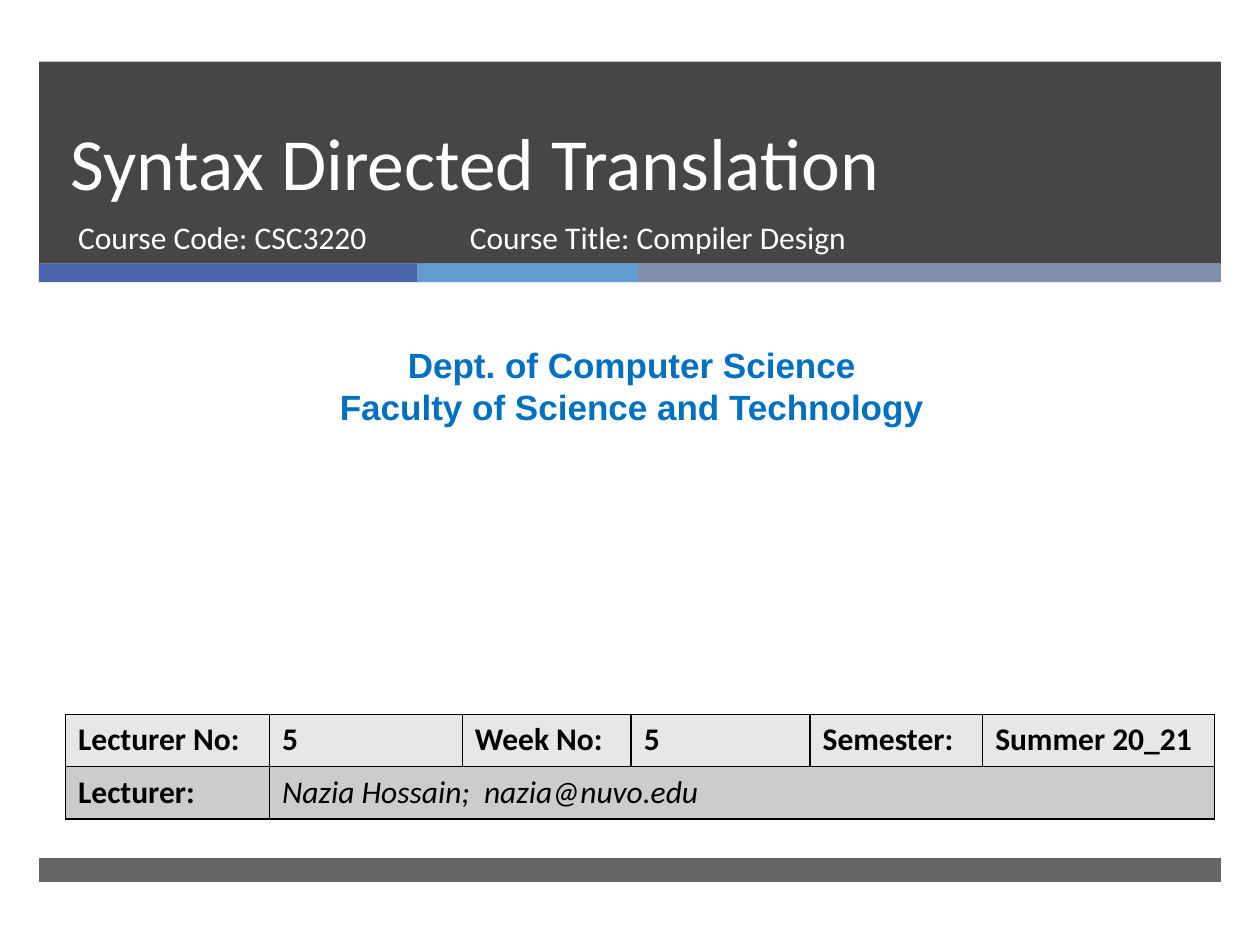
from lxml import etree
from pptx import Presentation
from pptx.dml.color import RGBColor
from pptx.enum.shapes import MSO_SHAPE
from pptx.enum.text import MSO_ANCHOR, PP_ALIGN
from pptx.oxml.ns import qn
from pptx.util import Inches, Pt

RECTANGLE = MSO_SHAPE.RECTANGLE
TOP, BOTTOM = MSO_ANCHOR.TOP, MSO_ANCHOR.BOTTOM
LEFT, CENTER = PP_ALIGN.LEFT, PP_ALIGN.CENTER

WIDTH, HEIGHT = 10, 7.5
MARGIN = 0.31
BAND_WIDTH = WIDTH - 2 * MARGIN
CHARCOAL, WHITE, BLACK, BLUE = "262626", "FFFFFF", "000000", "0070C0"
STRIPES = [("4A66AC", 0.32), ("629DD1", 0.187), ("7F8FA9", 0.493)]
COLUMNS = [1.62, 1.53, 1.34, 1.42, 1.37, 1.84]
LECTURE = ["Lecturer No:", "5", "Week No:", "5", "Semester:", "Summer 20_21"]
LECTURER = ["Lecturer:", "Nazia Hossain;  nazia@nuvo.edu"]


def color(value):
    return RGBColor.from_string(value)


def place(shape, box):
    shape.left, shape.top, shape.width, shape.height = map(Inches, box)


def add_bar(slide, box, fill, opacity=100):
    """Add a borderless bar behind everything placed so far."""
    bar = slide.shapes.add_shape(RECTANGLE, *map(Inches, box))
    bar.shadow.inherit = False
    bar.fill.solid()
    bar.fill.fore_color.rgb = color(fill)
    bar.line.fill.background()
    if opacity < 100:
        rgb = bar.fill._xPr.find(".//" + qn("a:srgbClr"))
        etree.SubElement(rgb, qn("a:alpha"), val=str(opacity * 1000))
    slide.shapes._spTree.insert(2, bar._element)


def add_run(paragraph, text, size, ink, font="Calibri", bold=False, italic=False):
    run = paragraph.add_run()
    run.text = text
    run.font.name, run.font.size = font, Pt(size)
    run.font.bold, run.font.italic = bold, italic
    run.font.color.rgb = color(ink)


def write(shape, box, lines, size, ink, align=LEFT, anchor=TOP, spacing=None, **style):
    """Place a text shape and fill it, one paragraph per line."""
    place(shape, box)
    frame = shape.text_frame
    frame.word_wrap = True
    frame.vertical_anchor = anchor
    for number, line in enumerate(lines):
        paragraph = frame.add_paragraph() if number else frame.paragraphs[0]
        paragraph.alignment = align
        paragraph.space_before = Pt(0)
        if spacing:
            paragraph.line_spacing = Pt(spacing)
        add_run(paragraph, line, size, ink, **style)


def add_textbox(slide, box, lines, size, ink, **style):
    write(slide.shapes.add_textbox(0, 0, 0, 0), box, lines, size, ink, **style)


def build_header(slide, left, top, width, height):
    stripe_height = 0.15
    panel_height = height - stripe_height
    add_bar(slide, (left, top, width, panel_height), CHARCOAL, 85)
    stripe_left = left
    for fill, share in STRIPES:
        add_bar(slide, (stripe_left, top + panel_height, width * share, stripe_height), fill)
        stripe_left += width * share

    title, course_code = slide.placeholders
    course_top = top + 1.19
    write(title, (left + 0.15, top, 8.54, 1.19), ["Syntax Directed Translation"],
          42, WHITE, anchor=BOTTOM, spacing=46)
    write(course_code, (left + 0.21, course_top, 3.05, 0.53),
          ["Course Code: CSC3220"], 18, WHITE)
    add_textbox(slide, (left + 3.32, course_top, 4.55, 0.53),
                ["Course Title: Compiler Design"], 18, WHITE)


def outline(cell):
    properties = cell._tc.get_or_add_tcPr()
    for position, side in enumerate(("lnL", "lnR", "lnT", "lnB")):
        line = etree.Element(qn(f"a:{side}"), w=str(Pt(1)))
        fill = etree.SubElement(line, qn("a:solidFill"))
        etree.SubElement(fill, qn("a:srgbClr"), val=BLACK)
        properties.insert(position, line)


def build_lecture_table(slide, left, top, width, height):
    rows = [(LECTURE, "E7E7E7"), (LECTURER, "CCCCCC")]
    frame = slide.shapes.add_table(len(rows), len(COLUMNS),
                                   *map(Inches, (left, top, width, height)))
    table = frame.table
    for column, share in zip(table.columns, COLUMNS):
        column.width = Inches(width * share / sum(COLUMNS))
    table.cell(1, 1).merge(table.cell(1, len(COLUMNS) - 1))
    for row, (texts, fill) in enumerate(rows):
        for cell in table.rows[row].cells:
            cell.fill.solid()
            cell.fill.fore_color.rgb = color(fill)
            outline(cell)
        for column, text in enumerate(texts):
            contact = (row, column) == (1, 1)
            add_run(table.cell(row, column).text_frame.paragraphs[0], text,
                    18, BLACK, bold=not contact, italic=contact)


def main():
    deck = Presentation()
    deck.slide_width, deck.slide_height = Inches(WIDTH), Inches(HEIGHT)
    slide = deck.slides.add_slide(deck.slide_layouts[0])
    build_header(slide, MARGIN, 0.49, BAND_WIDTH, 1.75)
    add_textbox(slide, (0.08, 2.68, 9.87, 0.77),
                ["Dept. of Computer Science", "Faculty of Science and Technology"],
                20, BLUE, align=CENTER, font="Arial", bold=True)
    build_lecture_table(slide, 0.52, 5.67, 9.12, 0.83)
    add_bar(slide, (MARGIN, 6.81, BAND_WIDTH, 0.19), CHARCOAL, 70)
    deck.save("out.pptx")


if __name__ == "__main__":
    main()
